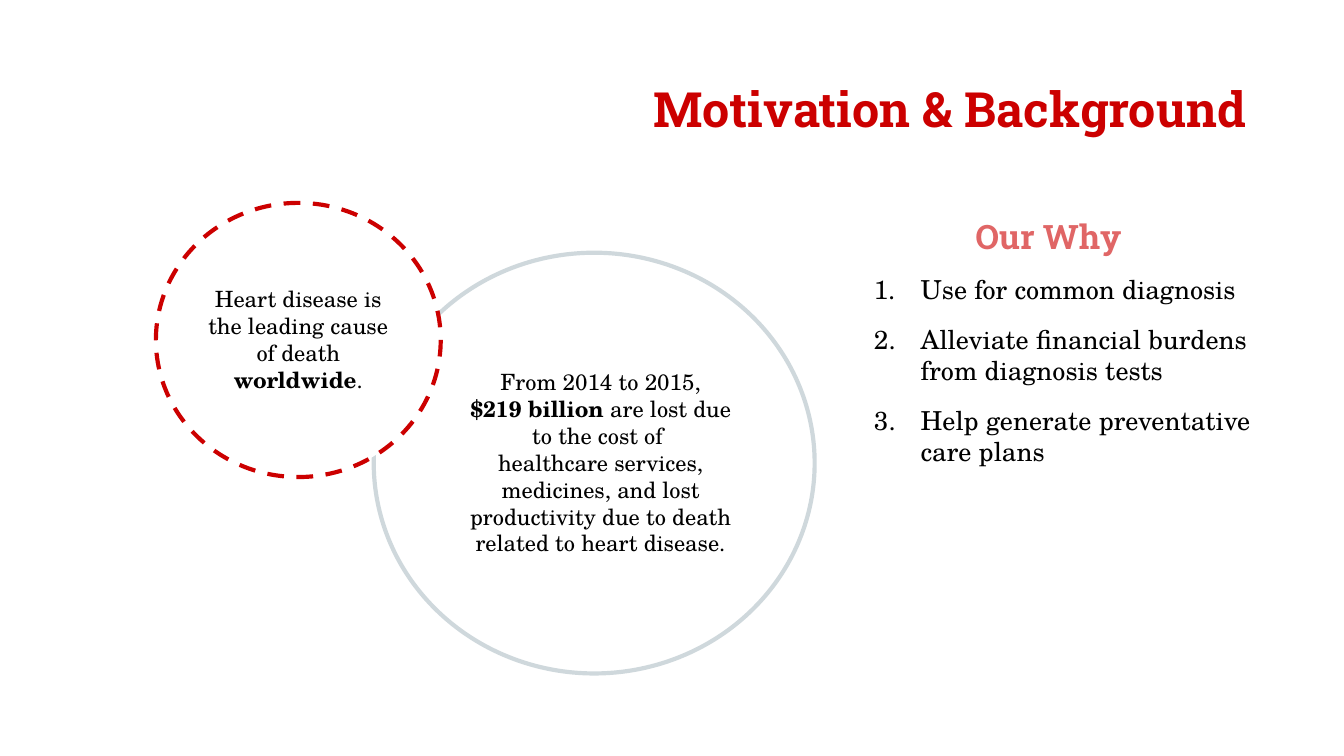
from dataclasses import dataclass
from typing import Optional

from lxml import etree
from pptx import Presentation
from pptx.dml.color import RGBColor
from pptx.enum import dml, shapes, text
from pptx.oxml.ns import qn
from pptx.util import Pt


@dataclass(frozen=True)
class Theme:
    red: str = "CC0000"
    coral: str = "E06666"
    grey: str = "CFD8DC"
    black: str = "000000"
    white: str = "FFFFFF"
    heading_font: str = "Roboto Slab"
    body_font: str = "TeX Gyre Schola"
    title_size: float = 26
    heading_size: float = 18
    list_size: float = 14
    fact_size: float = 12
    outline: float = 2.25
    inset: float = 7.2


@dataclass(frozen=True)
class Area:
    left: float
    top: float
    width: float
    height: float

    def lengths(self) -> tuple:
        return Pt(self.left), Pt(self.top), Pt(self.width), Pt(self.height)


@dataclass(frozen=True)
class Style:
    font: str
    size: float
    color: str
    bold: bool = False


@dataclass(frozen=True)
class Span:
    words: str
    bold: bool = False


@dataclass(frozen=True)
class Circle:
    area: Area
    color: str
    dash: Optional[dml.MSO_LINE] = None


@dataclass(frozen=True)
class Fact:
    area: Area
    paragraphs: tuple


THEME = Theme()
TITLE = Style(THEME.heading_font, THEME.title_size, THEME.red, True)
HEADING = Style(THEME.heading_font, THEME.heading_size, THEME.coral, True)
LIST = Style(THEME.body_font, THEME.list_size, THEME.black)
FACT = Style(THEME.body_font, THEME.fact_size, THEME.black)

REASONS = (
    "Use for common diagnosis",
    "Alleviate financial burdens from diagnosis tests",
    "Help generate preventative care plans",
)

CIRCLES = (
    Circle(Area(200.2, 135.4, 236.2, 225.4), THEME.grey),
    Circle(Area(83.5, 108.7, 152.6, 146.9), THEME.red, dml.MSO_LINE.DASH),
)

FACTS = (
    Fact(Area(104.4, 143.3, 110.9, 77), (
        (Span("Heart disease is the leading cause of death "),
         Span("worldwide", True), Span(".")),
    )),
    Fact(Area(244.1, 158.4, 155.5, 178.6), (
        (Span("From 2014 to 2015,"),),
        (Span("$219 billion", True), Span(" are lost due to the cost of ")),
        (Span("healthcare services, medicines, and lost productivity "
              "due to death related to heart disease."),),
    )),
)


def place(box, area: Area) -> None:
    box.left, box.top, box.width, box.height = area.lengths()


def prepare_frame(box, anchor: text.MSO_ANCHOR):
    frame = box.text_frame
    frame.word_wrap = True
    frame.auto_size = text.MSO_AUTO_SIZE.NONE
    frame.vertical_anchor = anchor
    frame.margin_left = frame.margin_right = Pt(THEME.inset)
    frame.margin_top = frame.margin_bottom = Pt(THEME.inset)
    return frame


def write(frame, paragraphs: tuple, style: Style, align: text.PP_ALIGN,
          gap: float = 0) -> None:
    for index, spans in enumerate(paragraphs):
        para = frame.add_paragraph() if index else frame.paragraphs[0]
        para.alignment = align
        para.line_spacing = 1.0
        para.space_before = Pt(gap if index else 0)
        para.space_after = Pt(0)
        for span in spans:
            run = para.add_run()
            run.text = span.words
            run.font.name = style.font
            run.font.size = Pt(style.size)
            run.font.bold = style.bold or span.bold
            run.font.color.rgb = RGBColor.from_string(style.color)


def number(para, margin: float, indent: float) -> None:
    properties = para._p.get_or_add_pPr()
    properties.set("marL", str(Pt(margin)))
    properties.set("indent", str(Pt(indent)))
    font = etree.SubElement(properties, qn("a:buFont"))
    font.set("typeface", THEME.body_font)
    bullet = etree.SubElement(properties, qn("a:buAutoNum"))
    bullet.set("type", "arabicPeriod")


def draw_title(page) -> None:
    box = page.shapes.title
    place(box, Area(342.7, 18.7, 340.6, 61.9))
    frame = prepare_frame(box, text.MSO_ANCHOR.BOTTOM)
    write(frame, ((Span("Motivation & Background"),),), TITLE, text.PP_ALIGN.LEFT)


def draw_reasons(page) -> None:
    box = page.placeholders[1]
    place(box, Area(450, 139, 243.4, 123.8))
    frame = prepare_frame(box, text.MSO_ANCHOR.TOP)
    write(frame, tuple((Span(reason),) for reason in REASONS), LIST,
          text.PP_ALIGN.LEFT, gap=10)
    for para in frame.paragraphs:
        number(para, 36, -25)


def draw_heading(page) -> None:
    box = page.shapes.add_textbox(*Area(515.5, 108.7, 110.9, 30.2).lengths())
    frame = prepare_frame(box, text.MSO_ANCHOR.TOP)
    write(frame, ((Span("Our Why"),),), HEADING, text.PP_ALIGN.LEFT)


def draw_circle(page, circle: Circle) -> None:
    oval = page.shapes.add_shape(shapes.MSO_SHAPE.OVAL, *circle.area.lengths())
    oval.shadow.inherit = False
    oval.fill.solid()
    oval.fill.fore_color.rgb = RGBColor.from_string(THEME.white)
    oval.line.color.rgb = RGBColor.from_string(circle.color)
    oval.line.width = Pt(THEME.outline)
    if circle.dash is not None:
        oval.line.dash_style = circle.dash


def draw_fact(page, fact: Fact) -> None:
    box = page.shapes.add_textbox(*fact.area.lengths())
    frame = prepare_frame(box, text.MSO_ANCHOR.MIDDLE)
    write(frame, fact.paragraphs, FACT, text.PP_ALIGN.CENTER)


def main() -> None:
    deck = Presentation()
    deck.slide_width, deck.slide_height = Pt(720), Pt(405)
    page = deck.slides.add_slide(deck.slide_layouts[1])
    draw_title(page)
    draw_reasons(page)
    draw_heading(page)
    for circle in CIRCLES:
        draw_circle(page, circle)
    for fact in FACTS:
        draw_fact(page, fact)
    deck.save("out.pptx")


if __name__ == "__main__":
    main()
